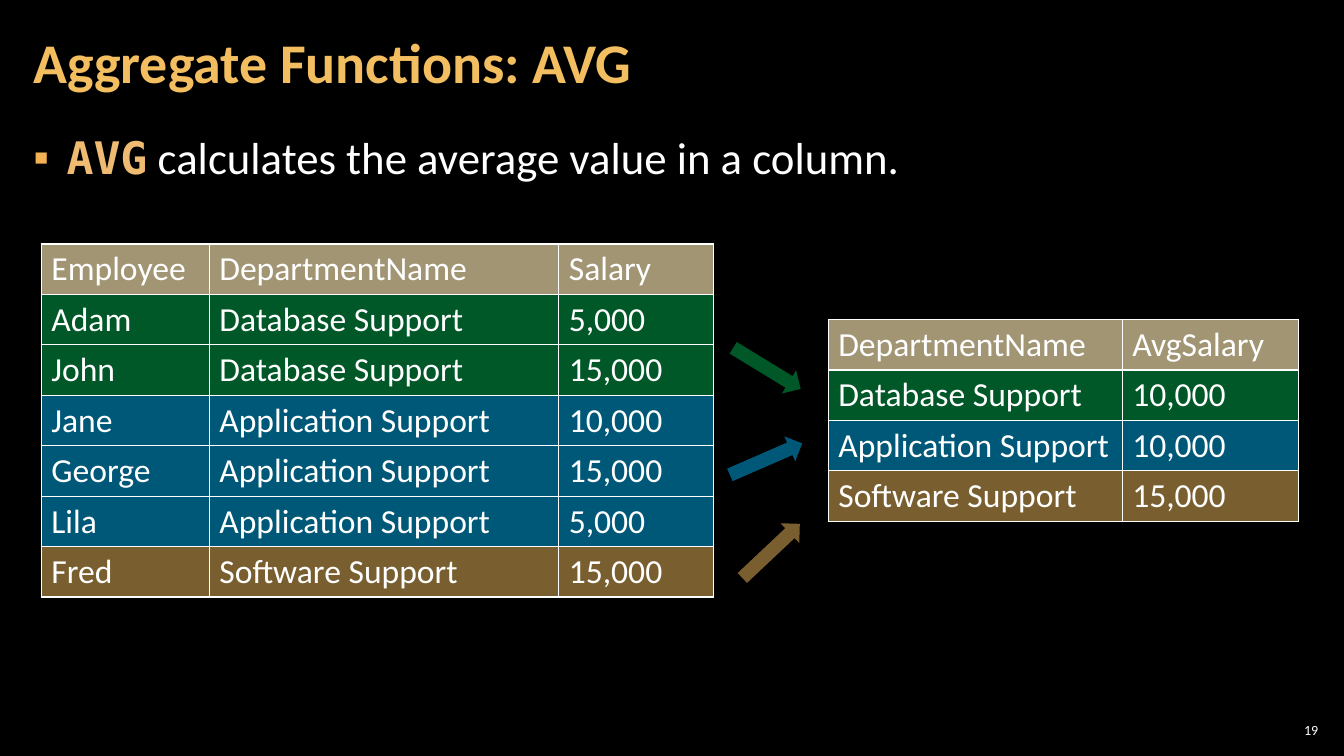
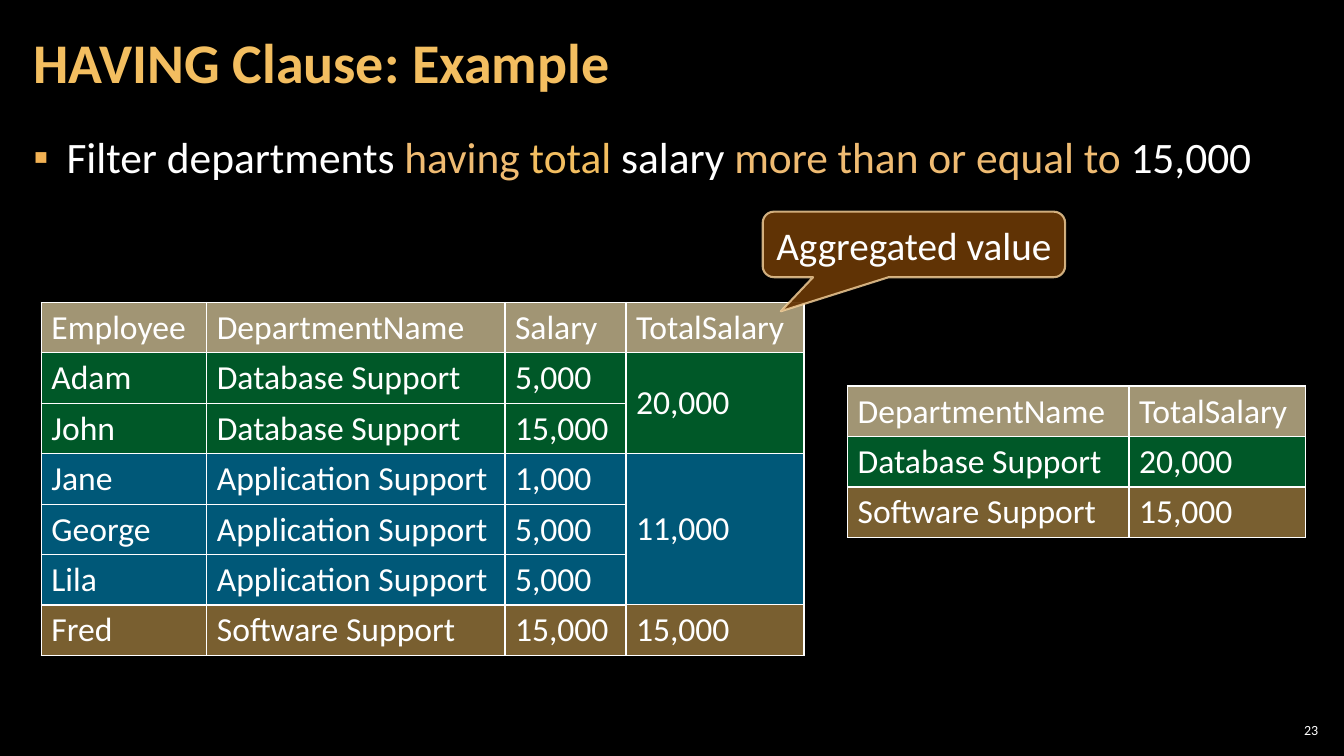
import lxml.etree
import pptx
import pptx.dml.color
import pptx.enum.shapes
import pptx.enum.text
import pptx.oxml.ns
import pptx.util

RGBColor = pptx.dml.color.RGBColor
BLACK = RGBColor(0x00, 0x00, 0x00)
WHITE = RGBColor(0xFF, 0xFF, 0xFF)
GOLD = RGBColor(0xF3, 0xBE, 0x60)
AMBER = RGBColor(0xEF, 0xBB, 0x72)
ORANGE = RGBColor(0xF2, 0xB2, 0x54)
CREAM = RGBColor(0xF8, 0xD4, 0x9E)
BROWN = RGBColor(0x66, 0x36, 0x06)
SAND = RGBColor(0xA1, 0x95, 0x74)
GREEN = RGBColor(0x00, 0xB0, 0x50)
BLUE = RGBColor(0x00, 0xB0, 0xF0)

FONT = "Calibri"
MONO = "DejaVu Sans Mono"

# The slide is a grid of 80 columns and 15 rows
WIDE = pptx.util.Inches(13.33)
HIGH = pptx.util.Inches(7.5)
SIDE = 1.26

# Departments, their colours and staff
DATA, APPS, SOFT = "Database Support", "Application Support", "Software Support"
TONES = {DATA: GREEN, APPS: BLUE, SOFT: GOLD}
STAFF = [("Adam", DATA), ("John", DATA), ("Jane", APPS),
         ("George", APPS), ("Lila", APPS), ("Fred", SOFT)]
STAFF_HEAD = ("Employee", "DepartmentName", "Salary")


def cols(count):
    return round(WIDE * count / 80)


def rows(count):
    return round(HIGH * count / 15)


def area(left, top, width, height):
    return cols(left), rows(top), cols(width), rows(height)


def node(home, tag, **attrs):
    item = lxml.etree.SubElement(home, pptx.oxml.ns.qn(tag))
    for name, value in attrs.items():
        item.set(name, str(value))
    return item


def fade(home, share):
    """Make the solid fill held by an XML element see-through."""
    color = home.find(pptx.oxml.ns.qn("a:solidFill"))[0]
    node(color, "a:alpha", val=share * 1000)


def paint(item, home, tone, share=100):
    item.fill.solid()
    item.fill.fore_color.rgb = tone
    if share < 100:
        fade(home, share)


def write(para, text, size, tone=WHITE, bold=False, font=FONT):
    run = para.add_run()
    run.text = text
    run.font.name = font
    run.font.size = pptx.util.Pt(size)
    run.font.bold = bold
    run.font.color.rgb = tone


def inset(frame, side, edge=0.04):
    frame.margin_left = frame.margin_right = pptx.util.Inches(side)
    frame.margin_top = frame.margin_bottom = pptx.util.Inches(edge)


# Shared frame of the slides

def set_base(deck):
    deck.slide_width, deck.slide_height = WIDE, HIGH
    deck.slide_master.background.fill.solid()
    deck.slide_master.background.fill.fore_color.rgb = BLACK
    base = deck.slide_layouts[1]
    spots = [area(SIDE, 0.08, 62.8, 2.42), area(SIDE, 2.5, 77.45, 12.18)]
    anchors = [pptx.enum.text.MSO_ANCHOR.MIDDLE, pptx.enum.text.MSO_ANCHOR.TOP]
    for index, (spot, anchor) in enumerate(zip(spots, anchors)):
        holder = base.placeholders[index]
        holder.left, holder.top, holder.width, holder.height = spot
        frame = holder.text_frame
        frame.auto_size = pptx.enum.text.MSO_AUTO_SIZE.NONE
        frame.vertical_anchor = anchor
        inset(frame, 0.12)
    return base


def add_slide(deck, base, title, number):
    slide = deck.slides.add_slide(base)
    para = slide.shapes.title.text_frame.paragraphs[0]
    para.alignment = pptx.enum.text.PP_ALIGN.LEFT
    para.line_spacing = 0.9
    write(para, title, 40, GOLD, True)

    box = slide.shapes.add_textbox(*area(75.9, 14.28, 2.8, 0.42))
    frame = box.text_frame
    frame.word_wrap = True
    frame.vertical_anchor = pptx.enum.text.MSO_ANCHOR.MIDDLE
    inset(frame, 0.04)
    frame.paragraphs[0].alignment = pptx.enum.text.PP_ALIGN.RIGHT
    write(frame.paragraphs[0], number, 10)
    return slide


def add_point(slide):
    """Return the body's first paragraph, set as a bullet."""
    para = slide.placeholders[1].text_frame.paragraphs[0]
    para.space_before = para.space_after = pptx.util.Pt(6)
    props = para._p.get_or_add_pPr()
    hang = pptx.util.Inches(0.33)
    props.set("marL", str(hang))
    props.set("indent", str(-hang))
    node(node(props, "a:buClr"), "a:srgbClr", val=ORANGE)
    node(props, "a:buChar", char="▪")
    return para


# Tables and shapes

def border(props):
    for index, side in enumerate("LRTB"):
        line = node(props, "a:ln" + side, w=pptx.util.Pt(1))
        node(node(line, "a:solidFill"), "a:srgbClr", val=WHITE)
        props.insert(index, line)


def add_table(slide, left, top, widths, head, body, tones, spans=None):
    spans = [1] + (spans or [1] * len(body))
    spot = area(left, top, sum(widths), sum(spans))
    table = slide.shapes.add_table(len(spans), len(widths), *spot).table
    table.first_row = table.horz_banding = False
    for column, width in zip(table.columns, widths):
        column.width = cols(width)
    lines = zip([head] + body, [SAND] + tones, spans)
    for row, (texts, tone, span) in enumerate(lines):
        table.rows[row].height = rows(span)
        for col, text in enumerate(texts):
            cell = table.cell(row, col)
            if span > 1:
                cell.vertical_anchor = pptx.enum.text.MSO_ANCHOR.MIDDLE
            write(cell.text_frame.paragraphs[0], text, 24)
            props = cell._tc.get_or_add_tcPr()
            paint(cell, props, tone, 50 if row else 100)
            border(props)


def add_staff(slide, top, widths, pays):
    body = [(name, group, pay) for (name, group), pay in zip(STAFF, pays)]
    tones = [TONES[group] for name, group in STAFF]
    add_table(slide, 2.46, top, widths, STAFF_HEAD, body, tones)


def add_groups(slide, left, top, widths, label, body):
    tones = [TONES[group] for group, pay in body]
    add_table(slide, left, top, widths, ("DepartmentName", label), body, tones)


def add_shape(slide, kind, spot, tone, share):
    shape = slide.shapes.add_shape(kind, *spot)
    shape.shadow.inherit = False
    paint(shape, shape.element.spPr, tone, share)
    return shape


def add_arrow(slide, left, top, turn, tone):
    kind = pptx.enum.shapes.MSO_SHAPE.RIGHT_ARROW
    arrow = add_shape(slide, kind, area(left, top, 4.7, 0.54), tone, 50)
    arrow.line.fill.background()
    arrow.rotation = turn


def add_callout(slide, spot, text):
    kind = pptx.enum.shapes.MSO_SHAPE.ROUNDED_RECTANGULAR_CALLOUT
    shape = add_shape(slide, kind, spot, BROWN, 95)
    for index, value in enumerate((-0.44, 1.02, 0.17)):
        shape.adjustments[index] = value
    shape.line.color.rgb = CREAM
    shape.line.width = pptx.util.Pt(1.5)
    fade(shape.element.spPr.find(pptx.oxml.ns.qn("a:ln")), 80)
    frame = shape.text_frame
    frame.word_wrap = False
    frame.vertical_anchor = pptx.enum.text.MSO_ANCHOR.MIDDLE
    frame.paragraphs[0].alignment = pptx.enum.text.PP_ALIGN.CENTER
    write(frame.paragraphs[0], text, 28)


# The two slides

def draw_avg(deck, base):
    slide = add_slide(deck, base, "Aggregate Functions: AVG", "19")
    para = add_point(slide)
    write(para, "AVG", 32, AMBER, True, MONO)
    write(para, " calculates the average value in a column.", 32)

    pays = ["5,000", "15,000", "10,000", "15,000", "5,000", "15,000"]
    add_staff(slide, 4.84, [10, 20.8, 9.2], pays)
    means = [(DATA, "10,000"), (APPS, "10,000"), (SOFT, "15,000")]
    add_groups(slide, 49.3, 6.34, [17.5, 10.5], "AvgSalary", means)

    add_arrow(slide, 43.3, 7.04, 31.4, GREEN)
    add_arrow(slide, 43.25, 8.84, 336.4, BLUE)
    add_arrow(slide, 43.55, 10.66, 316.7, GOLD)


def draw_having(deck, base):
    slide = add_slide(deck, base, "HAVING Clause: Example", "23")
    para = add_point(slide)
    parts = [("Filter departments ", WHITE), ("having ", AMBER),
             ("total", GOLD), (" salary ", WHITE),
             ("more than or equal to ", AMBER), ("15,000", WHITE)]
    for text, tone in parts:
        write(para, text, 31, tone)

    pays = ["5,000", "15,000", "1,000", "5,000", "5,000", "15,000"]
    add_staff(slide, 6, [9.85, 17.75, 7.2], pays)
    sums = [("20,000",), ("11,000",), ("15,000",)]
    add_table(slide, 37.26, 6, [10.6], ("TotalSalary",), sums,
              list(TONES.values()), [2, 3, 1])
    kept = [(DATA, "20,000"), (SOFT, "15,000")]
    add_groups(slide, 50.45, 7.66, [16.75, 10.5], "TotalSalary", kept)

    add_callout(slide, area(45.4, 4.2, 18, 1.3), "Aggregated value")


def main():
    deck = pptx.Presentation()
    base = set_base(deck)
    draw_avg(deck, base)
    draw_having(deck, base)
    deck.save("out.pptx")


if __name__ == "__main__":
    main()
